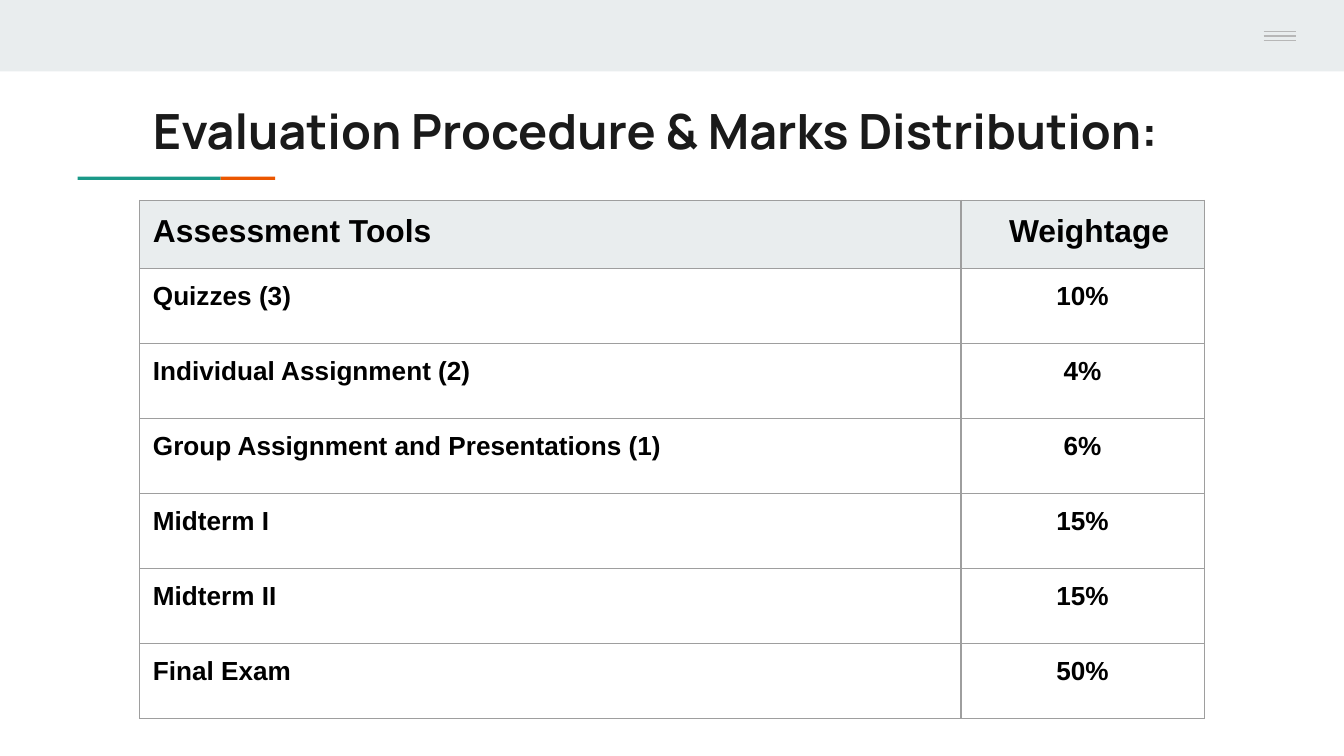
from lxml.etree import SubElement
from pptx import Presentation
from pptx.dml.color import RGBColor
from pptx.enum.shapes import MSO_CONNECTOR, MSO_SHAPE
from pptx.enum.text import MSO_ANCHOR, PP_ALIGN
from pptx.oxml.ns import qn
from pptx.util import Cm, Pt

PALE, INK, BLACK = "E9EDEE", "1A1A1A", "000000"
TEAL, ORANGE = "1A9988", "EB5600"
MENU_GREY, BORDER_GREY = "B7B7B7", "9E9E9E"
INSET = 0.25

ASSESSMENTS = [
    ("Assessment Tools", "Weightage"),
    ("Quizzes (3)", "10%"),
    ("Individual Assignment (2)", "4%"),
    ("Group Assignment and Presentations (1)", "6%"),
    ("Midterm I", "15%"),
    ("Midterm II", "15%"),
    ("Final Exam", "50%"),
]


def color(hex_string):
    return RGBColor.from_string(hex_string)


def style(paragraph, font_name, size, hex_string):
    for run in paragraph.runs:
        run.font.name = font_name
        run.font.size = Pt(size)
        run.font.bold = True
        run.font.color.rgb = color(hex_string)


def add_block(slide, left, top, width, height, fill):
    block = slide.shapes.add_shape(
        MSO_SHAPE.RECTANGLE, Cm(left), Cm(top), Cm(width), Cm(height))
    block.shadow.inherit = False
    block.fill.solid()
    block.fill.fore_color.rgb = color(fill)
    block.line.fill.background()


def add_top_band(slide, left, top, width, height):
    add_block(slide, left, top, width, height, PALE)
    # Menu icon: three thin lines near the right end
    menu_left = left + width - 1.52
    for index in range(3):
        y = top + 0.59 + index * 0.09
        menu_line = slide.shapes.add_connector(
            MSO_CONNECTOR.STRAIGHT,
            Cm(menu_left), Cm(y), Cm(menu_left + 0.61), Cm(y))
        menu_line.line.color.rgb = color(MENU_GREY)
        menu_line.line.width = Pt(0.75)
        SubElement(menu_line._element.spPr, qn("a:effectLst"))


def add_title(slide, left, top, width, height):
    title = slide.shapes.add_textbox(Cm(left), Cm(top), Cm(width), Cm(height))
    frame = title.text_frame
    frame.word_wrap = True
    frame.vertical_anchor = MSO_ANCHOR.MIDDLE
    frame.margin_left = frame.margin_right = Cm(INSET)
    frame.margin_top = frame.margin_bottom = Cm(INSET)
    frame.text = "Evaluation Procedure & Marks Distribution:"
    style(frame.paragraphs[0], "Manrope", 26, INK)


def add_accent(slide, left, top, width, height):
    teal_width = round(width * 0.725, 2)
    add_block(slide, left, top, teal_width, height, TEAL)
    add_block(slide, left + teal_width, top, width - teal_width, height, ORANGE)


def add_borders(cell):
    properties = cell._tc.get_or_add_tcPr()
    for index, side in enumerate(("a:lnL", "a:lnR", "a:lnT", "a:lnB")):
        border = properties.makeelement(qn(side), {"w": str(Pt(0.75))})
        fill = SubElement(border, qn("a:solidFill"))
        SubElement(fill, qn("a:srgbClr"), val=BORDER_GREY)
        properties.insert(index, border)


def add_marks_table(slide, left, top, width, height):
    header_height, weight_width = 1.29, 4.6
    row_height = (height - header_height) / (len(ASSESSMENTS) - 1)
    marks = slide.shapes.add_table(
        len(ASSESSMENTS), 2, Cm(left), Cm(top), Cm(width), Cm(height)).table
    marks.columns[0].width = Cm(width - weight_width)
    marks.columns[1].width = Cm(weight_width)

    for row, labels in enumerate(ASSESSMENTS):
        is_header = row == 0
        marks.rows[row].height = Cm(header_height if is_header else row_height)
        for column, label in enumerate(labels):
            cell = marks.cell(row, column)
            cell.margin_left = cell.margin_right = Cm(INSET)
            cell.margin_top = cell.margin_bottom = Cm(INSET)
            cell.text = label
            paragraph = cell.text_frame.paragraphs[0]
            style(paragraph, "Arial", 17 if is_header else 14, BLACK)
            if is_header:
                cell.fill.solid()
                cell.fill.fore_color.rgb = color(PALE)
            else:
                cell.fill.background()
                if column == 1:
                    paragraph.alignment = PP_ALIGN.CENTER
            add_borders(cell)
    # The weightage heading is set in from the column edge
    marks.cell(0, 1).margin_left = Cm(0.91)


def main():
    presentation = Presentation()
    presentation.slide_width = Cm(25.4)
    presentation.slide_height = Cm(14.29)
    slide = presentation.slides.add_slide(presentation.slide_layouts[6])

    add_top_band(slide, 0, 0, 25.4, 1.35)
    add_accent(slide, 1.47, 3.34, 3.73, 0.06)
    add_title(slide, 2.64, 1.68, 20.12, 1.57)
    add_marks_table(slide, 2.64, 3.79, 20.12, 9.79)

    presentation.save("out.pptx")


if __name__ == "__main__":
    main()
